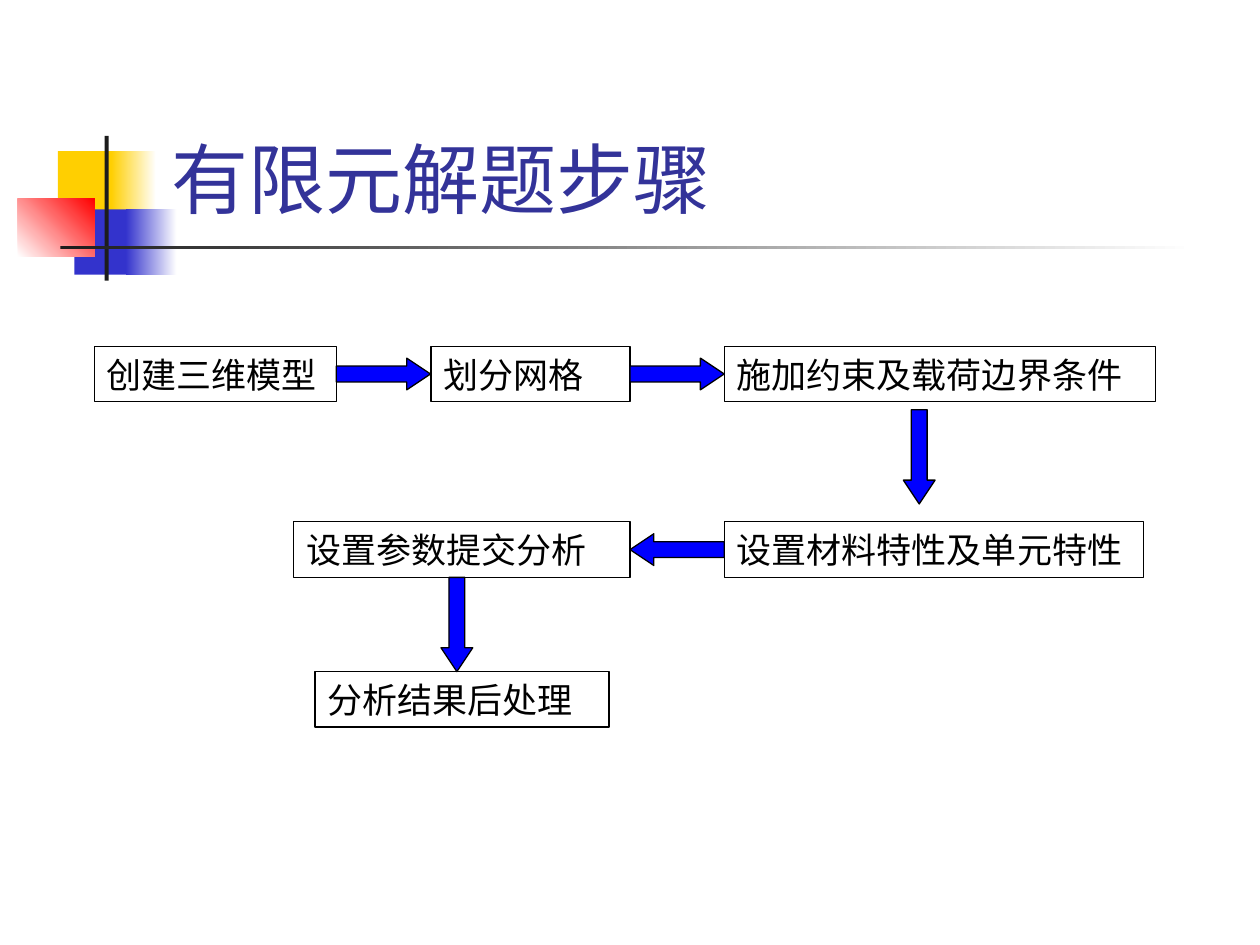
from pptx import Presentation
from pptx.dml.color import RGBColor
from pptx.enum.shapes import MSO_SHAPE as Shape
from pptx.enum.text import MSO_ANCHOR as Anchor, PP_ALIGN as Align
from pptx.util import Cm, Pt

THEME = {
    "font": "Lato", "title_size": 44, "step_size": 20, "line_width": 0.75,
    "title": "333399", "text": "000000", "line": "000000", "arrow": "0000FF",
    "yellow": "FFCF01", "blue": "3333CC", "red": "FF0000",
    "dark": "1C1C1C", "white": "FFFFFF",
}

TITLE = "有限元解题步骤"
TITLE_FRAME = (3.2, 0.58, 21.64, 4.06)

# Left, top, width, height in cm; colours from start to end; gradient angle
ORNAMENTS = [
    ((1.17, 3.05, 1.22, 1.32), ["yellow"], 0),
    ((2.24, 3.05, 0.91, 1.32), ["yellow", "white"], 0),
    ((1.5, 4.22, 1.17, 1.32), ["blue"], 0),
    ((2.54, 4.22, 1.02, 1.32), ["blue", "white"], 0),
    ((0.36, 4.01, 1.55, 1.17), ["white", "red"], 45),
    ((2.11, 2.74, 0.08, 2.92), ["dark"], 0),
    ((1.22, 4.95, 22.86, 0.08), ["dark", "white"], 0),
]

ROW_TOPS = [6.98, 10.52, 13.54]
STEP_HEIGHT = 1.12
# Text, row, left, width
STEPS = [
    ("创建三维模型", 0, 1.9, 4.88),
    ("划分网格", 0, 8.69, 4.01),
    ("施加约束及载荷边界条件", 0, 14.6, 8.69),
    ("设置材料特性及单元特性", 1, 14.6, 8.46),
    ("设置参数提交分析", 1, 5.92, 6.78),
    ("分析结果后处理", 2, 6.35, 5.93),
]

ARROW_LENGTH, ARROW_BREADTH = 1.9, 0.64
ROW_MIDDLES = [top + STEP_HEIGHT / 2 for top in ROW_TOPS]
# Centre x, centre y, rotation
ARROWS = [
    (7.73, ROW_MIDDLES[0], 0),
    (13.65, ROW_MIDDLES[0], 0),
    (18.53, 9.21, 90),
    (13.65, ROW_MIDDLES[1], 180),
    (9.21, 12.59, 90),
]


def color(role):
    return RGBColor.from_string(THEME[role])


def set_all(target, values):
    for name, value in values.items():
        setattr(target, name, value)


def add_figure(slide, preset, frame):
    figure = slide.shapes.add_shape(preset, *map(Cm, frame))
    figure.shadow.inherit = False
    return figure


def outline(figure):
    figure.line.color.rgb = color("line")
    figure.line.width = Pt(THEME["line_width"])


def write(holder, text, size, role, anchor):
    frame = holder.text_frame
    set_all(frame, {
        "word_wrap": True, "vertical_anchor": anchor,
        "margin_left": Cm(0.25), "margin_right": Cm(0.25),
        "margin_top": Cm(0.13), "margin_bottom": Cm(0.13),
    })
    paragraph = frame.paragraphs[0]
    paragraph.alignment = Align.LEFT
    run = paragraph.add_run()
    run.text = text
    set_all(run.font, {"name": THEME["font"], "size": Pt(THEME[size])})
    run.font.color.rgb = color(role)


def add_ornament(slide, frame, roles, angle):
    ornament = add_figure(slide, Shape.RECTANGLE, frame)
    ornament.line.fill.background()
    fill = ornament.fill
    if len(roles) == 1:
        fill.solid()
        fill.fore_color.rgb = color(roles[0])
        return
    fill.gradient()
    fill.gradient_angle = angle
    for stop, role, position in zip(fill.gradient_stops, roles, (0, 1)):
        stop.color.rgb = color(role)
        stop.position = position


def add_step(slide, text, row, left, width):
    step = add_figure(slide, Shape.RECTANGLE,
                      (left, ROW_TOPS[row], width, STEP_HEIGHT))
    step.fill.background()
    outline(step)
    write(step, text, "step_size", "text", Anchor.MIDDLE)


def add_arrow(slide, center_x, center_y, rotation):
    arrow = add_figure(slide, Shape.RIGHT_ARROW,
                       (center_x - ARROW_LENGTH / 2,
                        center_y - ARROW_BREADTH / 2,
                        ARROW_LENGTH, ARROW_BREADTH))
    arrow.adjustments[0], arrow.adjustments[1] = 0.5, 0.75
    arrow.rotation = rotation
    arrow.fill.solid()
    arrow.fill.fore_color.rgb = color("arrow")
    outline(arrow)


def main():
    deck = Presentation()
    set_all(deck, {"slide_width": Cm(25.4), "slide_height": Cm(19.05)})
    slide = deck.slides.add_slide(deck.slide_layouts[6])
    for ornament in ORNAMENTS:
        add_ornament(slide, *ornament)
    title = slide.shapes.add_textbox(*map(Cm, TITLE_FRAME))
    write(title, TITLE, "title_size", "title", Anchor.BOTTOM)
    for step in STEPS:
        add_step(slide, *step)
    for arrow in ARROWS:
        add_arrow(slide, *arrow)
    deck.save("out.pptx")


if __name__ == "__main__":
    main()
